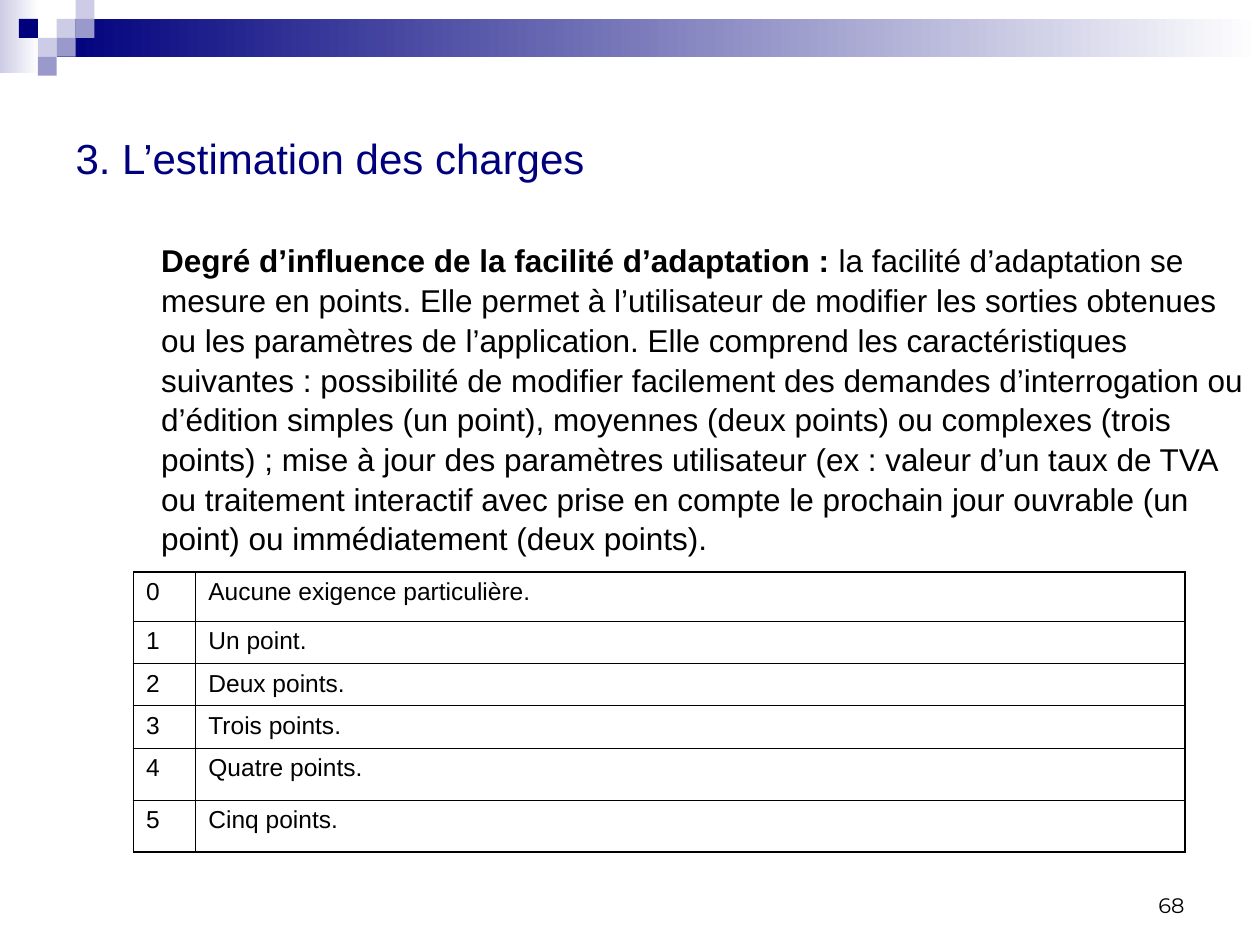
from pptx import Presentation
from pptx.util import Pt
from pptx.dml.color import RGBColor
from pptx.enum.shapes import MSO_SHAPE
from pptx.enum.text import MSO_ANCHOR, PP_ALIGN
from pptx.oxml import parse_xml
from pptx.oxml.ns import nsdecls

RECT = MSO_SHAPE.RECTANGLE
MIDDLE, BOTTOM = MSO_ANCHOR.MIDDLE, MSO_ANCHOR.BOTTOM
LEFT, RIGHT = PP_ALIGN.LEFT, PP_ALIGN.RIGHT
NAVY, MID, PALE, WHITE, BLACK = "00007D", "9999CC", "CCCCE6", "FFFFFF", "000000"

# Content
TITLE = "3. L’estimation des charges"
LEAD = "Degré d’influence de la facilité d’adaptation : "
BODY = (
    "la facilité d’adaptation se mesure en points. Elle permet à l’utilisateur "
    "de modifier les sorties obtenues ou les paramètres de l’application. Elle "
    "comprend les caractéristiques suivantes : possibilité de modifier facilement "
    "des demandes d’interrogation ou d’édition simples (un point), moyennes (deux "
    "points) ou complexes (trois points) ; mise à jour des paramètres utilisateur "
    "(ex : valeur d’un taux de TVA ou traitement interactif avec prise en compte "
    "le prochain jour ouvrable (un point) ou immédiatement (deux points)."
)
GRADES = ["Aucune exigence particulière.", "Un point.", "Deux points.",
          "Trois points.", "Quatre points.", "Cinq points."]
NUMBER = "68"

# Header: gradient bars (place, start colour), then tiles (column, row, colour)
BARS = [((0, 0, 22.3, 41.8), PALE), ((32.4, 10.8, 687.6, 21.6), NAVY)]
TILE = 10.8
TILES = [(3, 1, PALE), (4, 0, PALE), (4, 1, MID), (2, 2, PALE),
         (1, 1, NAVY), (3, 2, MID), (2, 3, MID)]

# Table sizes
SPOT = (76.3, 326.9)
COLS = [35.6, 565.2]
ROWS = [28.1, 24.2, 24.2, 24.2, 29.6, 29.6]
THIN, THICK = 0.45, 1.08


def rgb(code):
    return RGBColor.from_string(code)


def box(place):
    return [Pt(v) for v in place]


def style(run, size, color=BLACK, name="Arial", bold=False):
    font = run.font
    font.size, font.name, font.bold = Pt(size), name, bold
    font.color.rgb = rgb(color)


def tile(place, color, end=None):
    shape = slide.shapes.add_shape(RECT, *box(place))
    shape.shadow.inherit = False
    shape.line.fill.background()
    if end is None:
        shape.fill.solid()
        shape.fill.fore_color.rgb = rgb(color)
        return
    shape.fill.gradient()
    shape.fill.gradient_angle = 0
    for stop, code, pos in zip(shape.fill.gradient_stops, (color, end), (0, 1)):
        stop.color.rgb, stop.position = rgb(code), pos


def edge(cell, sides):
    props = cell._tc.get_or_add_tcPr()
    for i, (side, width) in enumerate(sides.items()):
        props.insert(i, parse_xml(
            f'<a:ln{side} {nsdecls("a")} w="{int(Pt(width))}"><a:solidFill>'
            f'<a:srgbClr val="{BLACK}"/></a:solidFill></a:ln{side}>'))


deck = Presentation()
deck.slide_width, deck.slide_height = Pt(720), Pt(540)
slide = deck.slides.add_slide(deck.slide_layouts[5])

# Header band
for place, color in BARS:
    tile(place, color, WHITE)
for col, row, color in TILES:
    tile((col * TILE, row * TILE, TILE, TILE), color)

# Title
title = slide.shapes.title
title.left, title.top, title.width, title.height = box((36, 36, 648, 108))
frame = title.text_frame
frame.text = TITLE
frame.vertical_anchor = MIDDLE
frame.paragraphs[0].alignment = LEFT
style(frame.paragraphs[0].runs[0], 24, NAVY)

# Body
frame = slide.shapes.add_textbox(*box((36.7, 130.3, 683.3, 406))).text_frame
frame.word_wrap = True
frame.margin_left, frame.margin_top = Pt(55.4), Pt(6.6)
para = frame.paragraphs[0]
para.line_spacing = 1.05
for text, bold in ((LEAD, True), (BODY, False)):
    run = para.add_run()
    run.text = text
    style(run, 18, bold=bold)

# Table of grades
size = (sum(COLS), sum(ROWS))
grid = slide.shapes.add_table(len(ROWS), len(COLS), *box(SPOT + size)).table
grid.first_row = grid.horz_banding = False
for col, width in zip(grid.columns, COLS):
    col.width = Pt(width)
last = len(ROWS) - 1
for r, (height, grade) in enumerate(zip(ROWS, GRADES)):
    grid.rows[r].height = Pt(height)
    for c, text in enumerate((str(r), grade)):
        cell = grid.cell(r, c)
        cell.text = text
        cell.fill.background()
        style(cell.text_frame.paragraphs[0].runs[0], 14)
        edge(cell, {"L": THIN if c else THICK, "R": THICK if c else THIN,
                    "T": THIN if r else THICK, "B": THICK if r == last else THIN})

# Slide number
frame = slide.shapes.add_textbox(*box((516, 491.8, 168, 36))).text_frame
frame.word_wrap = True
frame.text = NUMBER
frame.vertical_anchor = BOTTOM
frame.paragraphs[0].alignment = RIGHT
style(frame.paragraphs[0].runs[0], 12, name="Montserrat")

deck.save("out.pptx")
